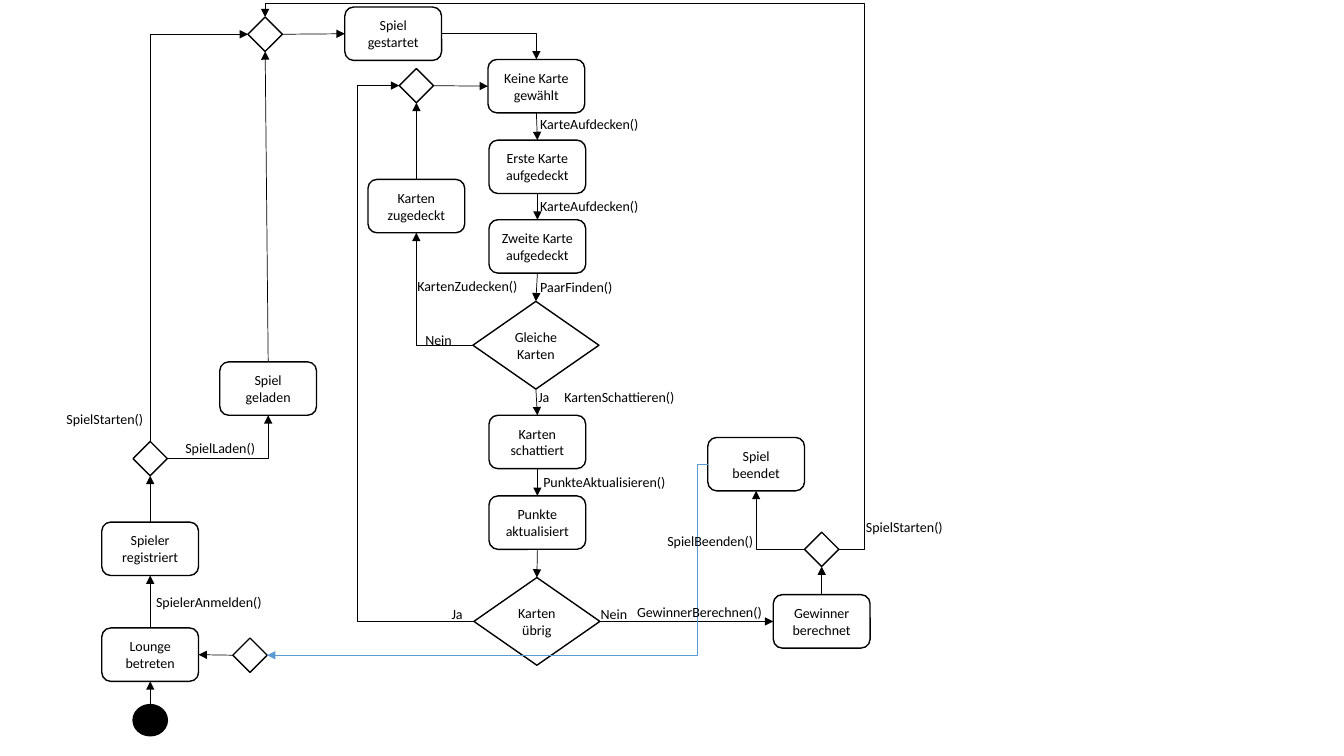
"""Build the state diagram of a memory card game."""
from lxml import etree
from pptx import Presentation
from pptx.dml.color import RGBColor
from pptx.enum.shapes import MSO_CONNECTOR, MSO_SHAPE
from pptx.enum.text import MSO_ANCHOR, PP_ALIGN
from pptx.oxml.ns import qn
from pptx.util import Inches, Pt

BLACK, WHITE, BLUE = "000000", "FFFFFF", "5B9BD5"
TOP, LEFT, BOTTOM, RIGHT = range(4)

KINDS = {
    "state": (MSO_SHAPE.ROUNDED_RECTANGLE, 0.96, 0.53, WHITE),
    "decision": (MSO_SHAPE.FLOWCHART_DECISION, 1.25, 0.87, WHITE),
    "merge": (MSO_SHAPE.FLOWCHART_DECISION, 0.34, 0.34, WHITE),
    "start": (MSO_SHAPE.OVAL, 0.34, 0.31, BLACK),
}

NODES = {
    "none": ("state", 4.84, 0.59, "Keine Karte gewählt"),
    "first": ("state", 4.85, 1.39, "Erste Karte aufgedeckt"),
    "started": ("state", 3.42, 0.07, "Spiel gestartet"),
    "shaded": ("state", 4.85, 4.12, "Karten schattiert"),
    "second": ("state", 4.85, 2.18, "Zweite Karte aufgedeckt"),
    "scored": ("state", 4.85, 4.92, "Punkte aktualisiert"),
    "covered": ("state", 3.65, 1.78, "Karten zugedeckt"),
    "equal": ("decision", 4.69, 2.99, "Gleiche Karten"),
    "winner": ("state", 7.67, 5.9, "Gewinner berechnet"),
    "ended": ("state", 7.02, 4.34, "Spiel beendet"),
    "remaining": ("decision", 4.7, 5.73, "Karten übrig"),
    "registered": ("state", 1.01, 5.18, "Spieler registriert"),
    "loaded": ("state", 2.18, 3.59, "Spiel geladen"),
    "lounge": ("state", 1.01, 6.23, "Lounge betreten"),
    "round merge": ("merge", 3.96, 0.68, ""),
    "end choice": ("merge", 7.98, 5.28, ""),
    "lounge merge": ("merge", 2.31, 6.33, ""),
    "start merge": ("merge", 2.46, 0.17, ""),
    "start choice": ("merge", 1.32, 4.38, ""),
    "start": ("start", 1.32, 6.99, ""),
}

STRAIGHT_ARROWS = [
    ("none", BOTTOM, "first", TOP),
    ("first", BOTTOM, "second", TOP),
    ("second", BOTTOM, "equal", TOP),
    ("equal", BOTTOM, "shaded", TOP),
    ("shaded", BOTTOM, "scored", TOP),
    ("scored", BOTTOM, "remaining", TOP),
    ("covered", TOP, "round merge", BOTTOM),
    ("round merge", RIGHT, "none", LEFT),
    ("remaining", RIGHT, "winner", LEFT),
    ("winner", TOP, "end choice", BOTTOM),
    ("start", TOP, "lounge", BOTTOM),
    ("lounge", TOP, "registered", BOTTOM),
    ("registered", TOP, "start choice", BOTTOM),
    ("loaded", TOP, "start merge", BOTTOM),
    ("start merge", RIGHT, "started", LEFT),
    ("lounge merge", LEFT, "lounge", RIGHT),
]

BENT_ARROWS = [
    ("equal", LEFT, "covered", BOTTOM, ()),
    ("end choice", LEFT, "ended", BOTTOM, ()),
    ("started", RIGHT, "none", TOP, ()),
    ("start choice", RIGHT, "loaded", BOTTOM, ()),
    ("start choice", TOP, "start merge", LEFT, ()),
    ("remaining", LEFT, "round merge", LEFT, (3.55,)),
    ("end choice", RIGHT, "start merge", TOP, (8.57, 0.04)),
    ("ended", LEFT, "lounge merge", RIGHT, (6.92,)),
]

LABELS = [
    ("Ja", 4.38, 5.96, 0.31),
    ("KarteAufdecken()", 5.26, 1.1, 1.2),
    ("KarteAufdecken()", 5.26, 1.91, 1.2),
    ("PaarFinden()", 5.26, 2.71, 0.93),
    ("PunkteAktualisieren()", 5.29, 4.65, 1.43),
    ("KartenSchattieren()", 5.5, 3.81, 1.32),
    ("Ja", 5.24, 3.81, 0.31),
    ("Nein", 4.12, 3.24, 0.47),
    ("KartenZudecken()", 4.04, 2.7, 1.22),
    ("GewinnerBerechnen()", 6.22, 5.94, 1.46),
    ("SpielStarten()", 8.49, 5.09, 0.98),
    ("SpielBeenden()", 6.52, 5.23, 1.07),
    ("SpielStarten()", 0.56, 4.02, 0.98),
    ("SpielerAnmelden()", 1.45, 5.84, 1.26),
    ("SpielLaden()", 1.74, 4.31, 0.9),
    ("Nein", 5.86, 5.96, 0.47),
]


def color(value):
    return RGBColor.from_string(value)


def write(frame, text):
    frame.text = text
    paragraph = frame.paragraphs[0]
    paragraph.font.size = Pt(10)
    paragraph.font.name = "Calibri"
    paragraph.font.color.rgb = color(BLACK)
    return paragraph


def add_node(slide, kind, left, top, text):
    preset, width, height, fill = KINDS[kind]
    shape = slide.shapes.add_shape(preset, *map(Inches, (left, top, width, height)))
    shape.shadow.inherit = False
    shape.fill.solid()
    shape.fill.fore_color.rgb = color(fill)
    shape.line.color.rgb = color(BLACK)
    shape.line.width = Pt(1)
    if text:
        frame = shape.text_frame
        frame.word_wrap = True
        frame.vertical_anchor = MSO_ANCHOR.MIDDLE
        if kind == "decision":
            frame.margin_left = frame.margin_right = 0
        write(frame, text).alignment = PP_ALIGN.CENTER
    return shape


def add_arrow(slide, kind, source, source_side, target, target_side, line_color=BLACK, width=0.5):
    connector = slide.shapes.add_connector(kind, 0, 0, 0, 0)
    connector.begin_connect(source, source_side)
    connector.end_connect(target, target_side)
    connector.line.color.rgb = color(line_color)
    connector.line.width = Pt(width)
    properties = connector._element.spPr
    etree.SubElement(properties.find(qn("a:ln")), qn("a:tailEnd"), type="triangle")
    etree.SubElement(properties, qn("a:effectLst"))
    return connector


def bend(connector, source_side, via):
    """Route the connector through the given x, then y, or around one corner."""
    properties = connector._element.spPr
    geometry = properties.find(qn("a:prstGeom"))
    geometry.set("prst", f"bentConnector{len(via) + 2}")
    starts = connector.begin_x, connector.begin_y
    ends = connector.end_x, connector.end_y
    guides = geometry.get_or_add_avLst()
    for number, (place, start, end) in enumerate(zip(via, starts, ends), 1):
        ratio = round((Inches(place) - start) / (end - start) * 100000)
        etree.SubElement(guides, qn("a:gd"), name=f"adj{number}", fmla=f"val {ratio}")
    if source_side == TOP:
        width, height = connector.width, connector.height
        connector.left += (width - height) // 2
        connector.top += (height - width) // 2
        connector.width, connector.height = height, width
        transform = properties.find(qn("a:xfrm"))
        transform.set("rot", str(270 * 60000))
        transform.attrib.pop("flipV", None)


presentation = Presentation()
presentation.slide_width, presentation.slide_height = Inches(13.33), Inches(7.5)
slide = presentation.slides.add_slide(presentation.slide_layouts[6])

nodes = {name: add_node(slide, *node) for name, node in NODES.items()}

for source, source_side, target, target_side in STRAIGHT_ARROWS:
    add_arrow(slide, MSO_CONNECTOR.STRAIGHT, nodes[source], source_side, nodes[target], target_side)

for source, source_side, target, target_side, via in BENT_ARROWS:
    style = (BLUE, 1) if source == "ended" else (BLACK, 0.5)
    connector = add_arrow(slide, MSO_CONNECTOR.ELBOW, nodes[source], source_side,
                          nodes[target], target_side, *style)
    bend(connector, source_side, via)

for text, left, top, width in LABELS:
    label = slide.shapes.add_textbox(*map(Inches, (left, top, width, 0.27)))
    label.text_frame.word_wrap = False
    write(label.text_frame, text)

presentation.save("out.pptx")
